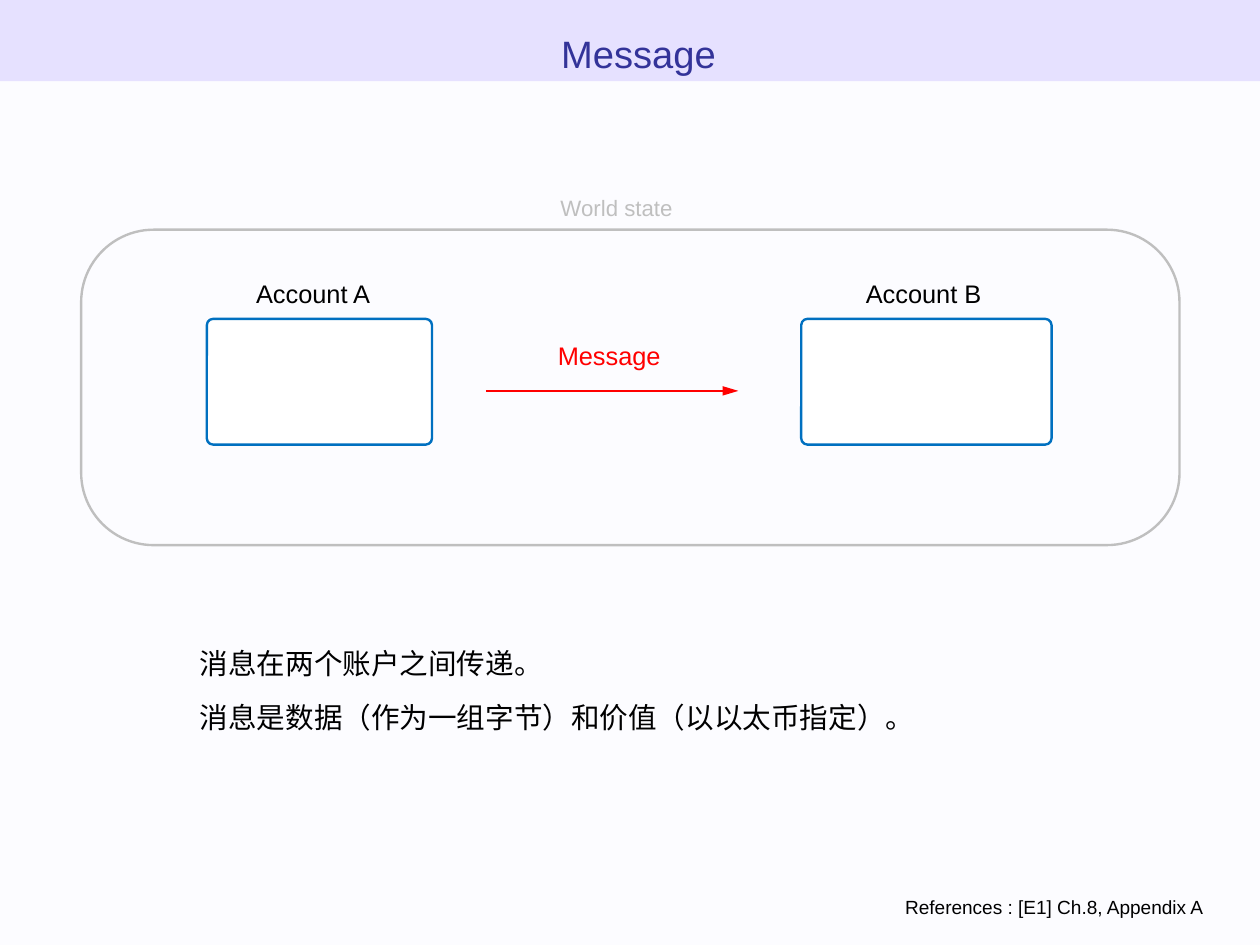
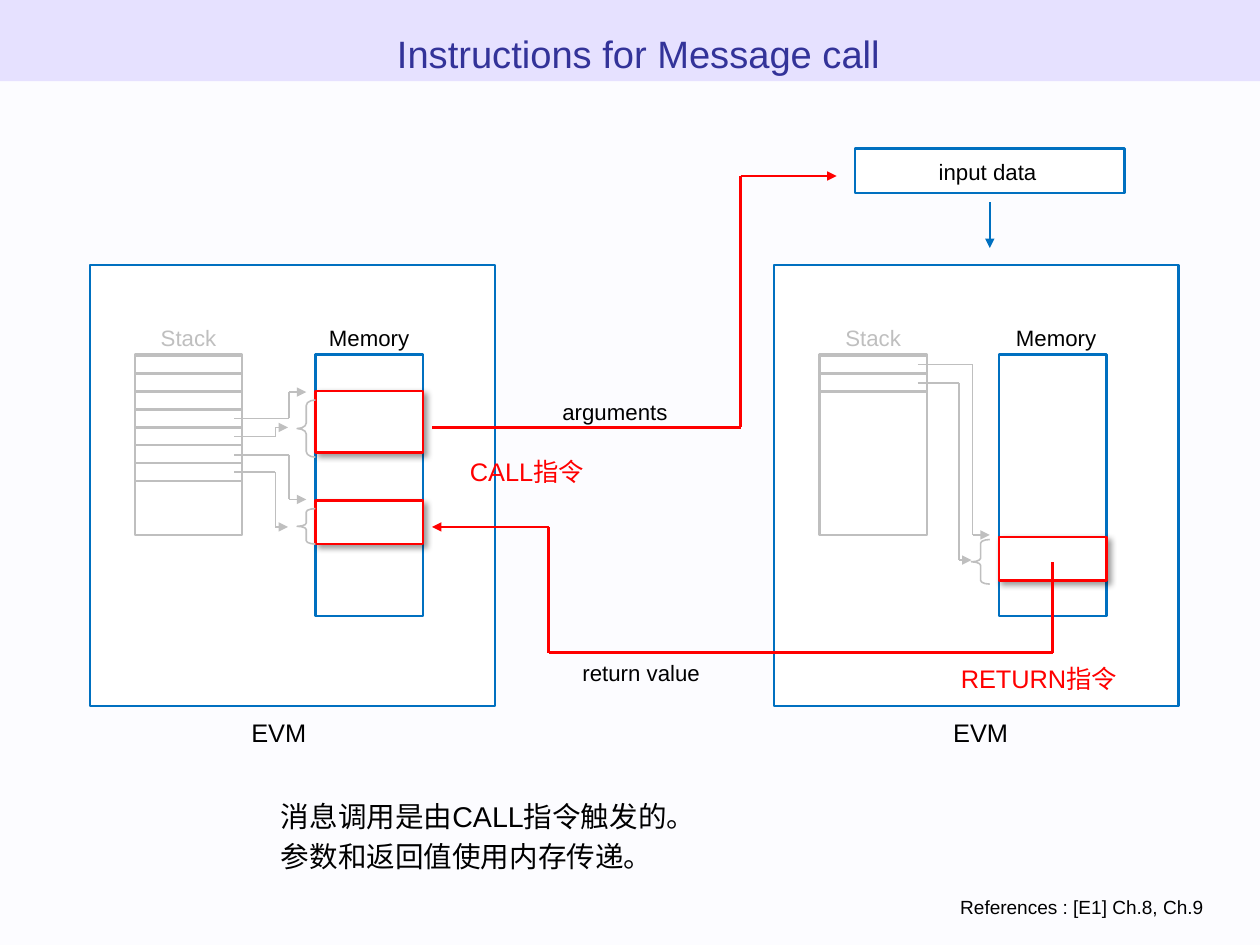
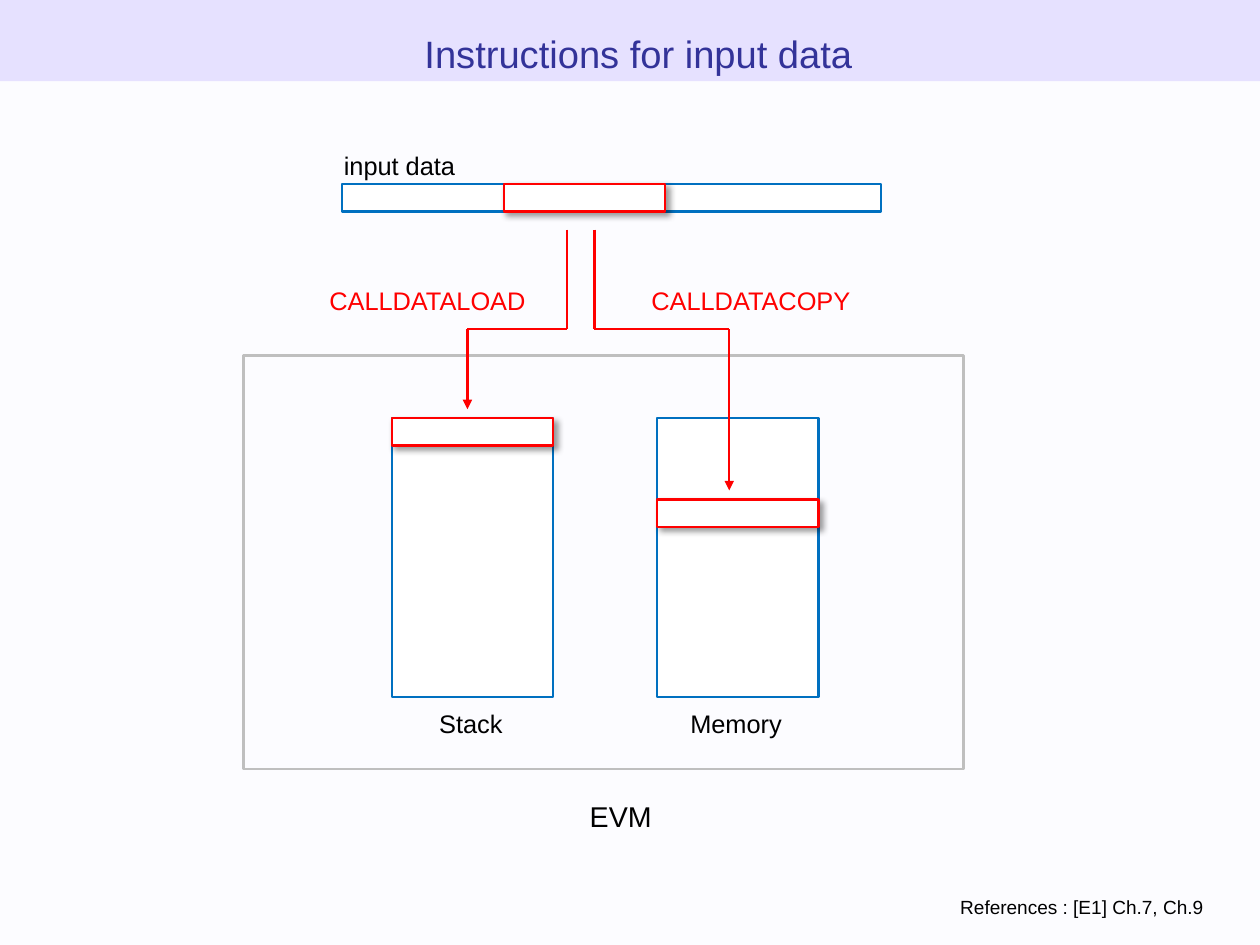
from lxml.etree import SubElement
from pptx import Presentation
from pptx.dml.color import RGBColor
from pptx.enum.shapes import MSO_CONNECTOR, MSO_SHAPE
from pptx.enum.text import MSO_ANCHOR, PP_ALIGN
from pptx.oxml.ns import qn
from pptx.util import Inches, Pt

BLUE, RED, GRAY = "0070C0", "FF0000", "BFBFBF"
BLACK, WHITE, NAVY = "000000", "FFFFFF", "333399"
PAPER, LAVENDER = "FCFCFF", "E6E1FF"
WIDTH, HEIGHT = 28 / 2.54, 21 / 2.54


def rgb(value):
    return RGBColor.from_string(value)


class Deck:
    """Holds the shared style and the slide being drawn."""

    font = "Arial"
    spacing = 1.17
    stroke = 1.5

    def __init__(self):
        self.prs = Presentation()
        self.prs.slide_width, self.prs.slide_height = Inches(WIDTH), Inches(HEIGHT)
        fill = self.prs.slide_master.background.fill
        fill.solid()
        fill.fore_color.rgb = rgb(PAPER)

    def slide(self, title, references):
        self.s = self.prs.slides.add_slide(self.prs.slide_layouts[6])
        self.box(0, -0.01, WIDTH, 0.72, line=None, fill=LAVENDER)
        self.text(title, 0.39, 0.15, 10.39, 0.95, 24, NAVY)
        self.text(f"References : {references}", 0.47, 7.75, 10.16, 0.37, 12,
                  align=PP_ALIGN.RIGHT)

    def text(self, text, x, y, w, h, size, color=BLACK, align=PP_ALIGN.CENTER,
             anchor=MSO_ANCHOR.TOP):
        sp = self.s.shapes.add_textbox(Inches(x), Inches(y), Inches(w), Inches(h))
        tf = sp.text_frame
        tf.word_wrap = True
        tf.vertical_anchor = anchor
        tf.text = text
        for p in tf.paragraphs:
            p.alignment = align
            p.line_spacing = self.spacing
            for r in p.runs:
                r.font.name = self.font
                r.font.size = Pt(size)
                r.font.color.rgb = rgb(color)

    def box(self, x, y, w, h, line=BLUE, fill=WHITE, kind=MSO_SHAPE.RECTANGLE,
            adjust=None, stroke=stroke):
        sp = self.s.shapes.add_shape(kind, Inches(x), Inches(y), Inches(w), Inches(h))
        sp.shadow.inherit = False
        if adjust is not None:
            sp.adjustments[0] = adjust
        if fill:
            sp.fill.solid()
            sp.fill.fore_color.rgb = rgb(fill)
        else:
            sp.fill.background()
        if line:
            sp.line.color.rgb = rgb(line)
            sp.line.width = Pt(stroke)
        else:
            sp.line.fill.background()
        return sp

    def highlight(self, x, y, w, h):
        sp = self.box(x, y, w, h, RED)
        effects = sp._element.spPr.find(qn("a:effectLst"))
        shadow = SubElement(effects, qn("a:outerShdw"), blurRad=str(Pt(4)),
                            dist=str(Pt(3)), dir="2700000", algn="tl", rotWithShape="0")
        color = SubElement(shadow, qn("a:srgbClr"), val=BLACK)
        SubElement(color, qn("a:alpha"), val="40000")

    def brace(self, x, y, h, adjust):
        self.box(x, y, 0.16, h, GRAY, None, MSO_SHAPE.LEFT_BRACE, adjust, 1)

    def arrow(self, points, color=RED, stroke=stroke, length="med"):
        for start, end in zip(points, points[1:]):
            line = self.s.shapes.add_connector(
                MSO_CONNECTOR.STRAIGHT, *(Inches(v) for v in (*start, *end)))
            line.line.color.rgb = rgb(color)
            line.line.width = Pt(stroke)
            spPr = line._element.spPr
            SubElement(spPr, qn("a:effectLst"))
        SubElement(spPr.find(qn("a:ln")), qn("a:tailEnd"), type="triangle",
                   w="med", len=length)

    def pointer(self, start, turn, end):
        (x1, y1), (x2, y2) = start, end
        self.arrow([(x1, y1), (turn, y1), (turn, y2), (x2, y2)], GRAY, 1)

    def machine(self, x, stack_x, memory_label_x, name_x, rows):
        self.box(x, 2.32, 3.54, 3.86)
        self.text("EVM", name_x, 6.18, 2.36, 0.47, 16)
        self.box(x + 1.97, 3.1, 0.94, 2.29)
        self.text("Memory", memory_label_x, 2.75, 1.26, 0.42, 14)
        self.box(stack_x, 3.1, 0.94, 1.58, GRAY)
        self.text("Stack", stack_x - 0.16, 2.75, 1.26, 0.42, 14, GRAY)
        row_h = 1.1 / 7
        for i in range(rows):
            self.box(stack_x, 3.11 + i * row_h, 0.94, row_h, GRAY)


def message(deck):
    deck.slide("Message", "[E1] Ch.8, Appendix A")
    rounded = MSO_SHAPE.ROUNDED_RECTANGLE
    deck.text("World state", 4.41, 1.61, 1.97, 0.31, 14, GRAY)
    deck.box(0.71, 2.01, 9.61, 2.76, GRAY, None, rounded, 0.23)
    for name, label_x, x, w in (("Account A", 1.7, 1.81, 1.97),
                                ("Account B", 7.04, 7.01, 2.19)):
        deck.text(name, label_x, 2.4, 2.08, 0.29, 16, anchor=MSO_ANCHOR.MIDDLE)
        deck.box(x, 2.79, w, 1.1, kind=rounded, adjust=0.05)
    deck.text("Message", 4.49, 2.9, 1.68, 0.37, 16, RED, anchor=MSO_ANCHOR.MIDDLE)
    deck.arrow([(4.25, 3.42), (6.46, 3.42)], length="lg")
    for y, sentence in ((5.55, "消息在两个账户之间传递。"),
                        (6.02, "消息是数据（作为一组字节）和价值（以以太币指定）。")):
        deck.text(sentence, 1.65, y, 8.74, 0.47, 18, align=PP_ALIGN.LEFT)


def message_call(deck):
    deck.slide("Instructions for Message call", "[E1] Ch.8, Ch.9")
    deck.machine(0.79, 1.18, 2.6, 1.26, 7)
    deck.machine(6.77, 7.17, 8.61, 7.4, 2)
    for x, y, h in ((2.76, 3.42, 0.54), (2.76, 4.38, 0.38), (8.74, 4.7, 0.38)):
        deck.highlight(x, y, 0.94, h)
    deck.box(7.48, 1.3, 2.36, 0.39)
    for label, x, y in (("input data", 7.83, 1.3), ("arguments", 4.57, 3.4),
                        ("return value", 4.8, 5.68)):
        deck.text(label, x, y, 1.62, 0.42, 14)
    deck.arrow([(8.66, 1.77), (8.66, 2.17)], BLUE)
    deck.arrow([(3.78, 3.74), (6.48, 3.74), (6.48, 1.54), (7.32, 1.54)])
    deck.arrow([(9.21, 4.92), (9.21, 5.71), (4.8, 5.71), (4.8, 4.61), (3.78, 4.61)])
    for x, y, h, adjust in ((2.6, 3.5, 0.5, 0.3), (2.6, 4.45, 0.31, 0.18),
                            (8.5, 4.72, 0.39, 0.2)):
        deck.brace(x, y, h, adjust)
    for start, turn, end in (((2.05, 3.66), 2.53, (2.68, 3.43)),
                             ((2.05, 3.82), 2.41, (2.52, 3.74)),
                             ((2.05, 3.98), 2.53, (2.68, 4.37)),
                             ((2.05, 4.13), 2.41, (2.52, 4.61)),
                             ((8.03, 3.19), 8.51, (8.66, 4.68)),
                             ((8.03, 3.35), 8.39, (8.5, 4.9))):
        deck.pointer(start, turn, end)
    deck.text("CALL指令", 3.39, 3.9, 2.44, 0.39, 16, RED)
    deck.text("RETURN指令", 7.87, 5.71, 2.44, 0.39, 16, RED)
    deck.text("消息调用是由CALL指令触发的。\n参数和返回值使用内存传递。",
              2.36, 6.89, 6.93, 0.47, 18, align=PP_ALIGN.LEFT)


def input_data(deck):
    deck.slide("Instructions for input data", "[E1] Ch.7, Ch.9")
    deck.box(2.13, 3.11, 6.3, 3.62, GRAY, None)
    deck.text("EVM", 4.72, 6.89, 1.42, 0.39, 18)
    deck.text("input data", 2.91, 1.22, 1.18, 0.31, 16, align=PP_ALIGN.LEFT)
    deck.box(2.99, 1.61, 4.72, 0.24)
    deck.highlight(4.41, 1.61, 1.41, 0.24)
    for name, x, cell_y in (("Stack", 3.43, 3.66), ("Memory", 5.75, 4.37)):
        deck.box(x, 3.66, 1.41, 2.44)
        deck.highlight(x, cell_y, 1.41, 0.24)
        deck.text(name, x - 0.04, 6.1, 1.46, 0.42, 16)
    for name, label_x, x1, x2, y2 in (("CALLDATALOAD", 2.52, 4.96, 4.09, 3.58),
                                      ("CALLDATACOPY", 5.35, 5.2, 6.38, 4.29)):
        deck.arrow([(x1, 2.01), (x1, 2.88), (x2, 2.88), (x2, y2)])
        deck.text(name, label_x, 2.4, 2.44, 0.39, 16, RED)


def main():
    deck = Deck()
    message(deck)
    message_call(deck)
    input_data(deck)
    deck.prs.save("out.pptx")


if __name__ == "__main__":
    main()
